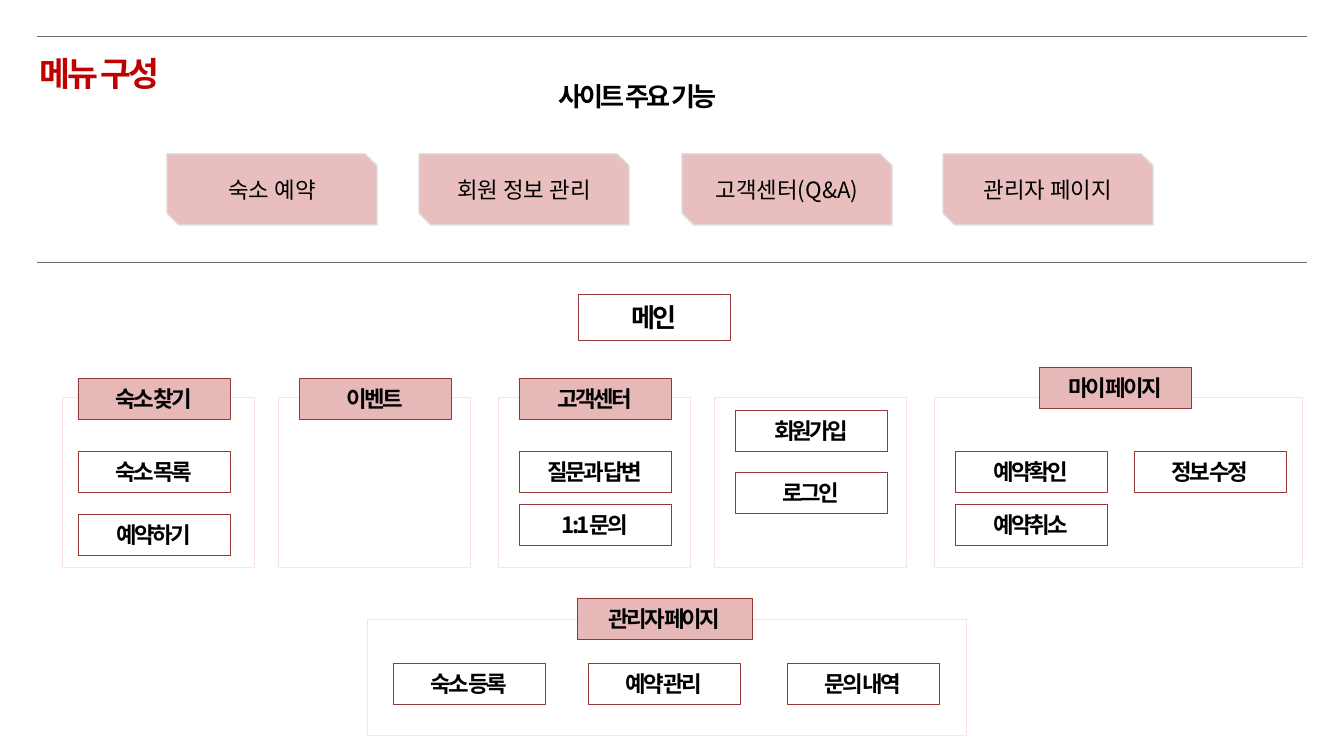
import pptx
import pptx.util
import pptx.dml.color
import pptx.enum.shapes
import pptx.enum.text
import pptx.oxml
import pptx.oxml.ns

PX = 914400 / 134.4
FONT = "Noto Sans CJK KR"
PINK, MAROON, PALE = "E6B9B8", "953735", "FFE1E1"
BUTTON_WIDTH, BUTTON_HEIGHT = 152, 41
SHAPES = pptx.enum.shapes.MSO_SHAPE
ALIGN = pptx.enum.text.PP_ALIGN


def emu(*lengths):
    return [pptx.util.Emu(round(length * PX)) for length in lengths]


def color(value):
    return pptx.dml.color.RGBColor.from_string(value)


def add_child(parent, tag, **attributes):
    child = pptx.oxml.parse_xml(f"<{tag} {pptx.oxml.ns.nsdecls('a')}/>")
    for name, value in attributes.items():
        child.set(name, value)
    parent.append(child)


def write(shape, text, size, ink="000000", bold=True, align=ALIGN.CENTER):
    para = shape.text_frame.paragraphs[0]
    para.text = text
    para.alignment = align
    para.font.name = FONT
    para.font.size = pptx.util.Pt(size)
    para.font.bold = bold
    para.font.color.rgb = color(ink)
    defaults = para._p.pPr.find(pptx.oxml.ns.qn("a:defRPr"))
    add_child(defaults, "a:ea", typeface=FONT)
    if bold:
        defaults.set("spc", "-150")
    return para


def add_box(page, box, fill, line, width=0.25, kind=SHAPES.RECTANGLE):
    shape = page.shapes.add_shape(kind, *emu(*box))
    shape.shadow.inherit = False
    if fill:
        shape.fill.solid()
        shape.fill.fore_color.rgb = color(fill)
    else:
        shape.fill.background()
    shape.line.color.rgb = color(line)
    shape.line.width = pptx.util.Pt(width)
    shape.text_frame.word_wrap = True
    shape.text_frame.vertical_anchor = pptx.enum.text.MSO_ANCHOR.MIDDLE
    return shape


def add_button(page, box, text, fill=None, size=12):
    write(add_box(page, box, fill, MAROON), text, size)


def add_rule(page, left, top, width):
    start_x, start_y, end_x = emu(left, top, left + width)
    rule = page.shapes.add_connector(
        pptx.enum.shapes.MSO_CONNECTOR.STRAIGHT, start_x, start_y, end_x, start_y)
    rule.line.color.rgb = color("68727E")
    rule.line.width = pptx.util.Pt(0.25)
    add_child(rule._element.spPr, "a:effectLst")


def add_header(page, box):
    left, top, width, height = box
    add_rule(page, left, top, width)
    add_rule(page, left, top + height, width)

    title = page.shapes.add_textbox(*emu(left - 11, top + 15, 328, 50))
    title.text_frame.word_wrap = True
    write(title, "메뉴 구성", 18, "C00000", align=ALIGN.LEFT).line_spacing = 0.9

    subtitle = page.shapes.add_textbox(*emu(left + 508, top + 38, 204, 46))
    subtitle.text_frame.word_wrap = False
    subtitle.text_frame.auto_size = pptx.enum.text.MSO_AUTO_SIZE.SHAPE_TO_FIT_TEXT
    write(subtitle, "사이트 주요 기능", 14, align=ALIGN.LEFT)

    features = {"숙소 예약": 130, "회원 정보 관리": 382,
                "고객센터(Q&A)": 645, "관리자 페이지": 906}
    for text, offset in features.items():
        card = add_box(page, (left + offset, top + 118, 210, 71), PINK, "DDDDDD",
                       0.75, SHAPES.SNIP_2_DIAG_RECTANGLE)
        fill = card._element.spPr.find(pptx.oxml.ns.qn("a:solidFill"))
        add_child(fill[0], "a:alpha", val="90000")
        write(card, text, 12, bold=False)


def add_menu_group(page, box, heading, items):
    left, top = box[:2]
    add_box(page, box, "FFFFFF", PALE)
    if heading:
        text, x, y, width = heading
        add_button(page, (left + x, top + y, width, BUTTON_HEIGHT), text, PINK)
    for text, x, y in items:
        add_button(page, (left + x, top + y, BUTTON_WIDTH, BUTTON_HEIGHT), text)


def main():
    deck = pptx.Presentation()
    deck.slide_width, deck.slide_height = emu(1344, 756)
    page = deck.slides.add_slide(deck.slide_layouts[6])

    add_header(page, (37, 36, 1270, 226))
    add_button(page, (578, 294, BUTTON_WIDTH, 46), "메인", size=14)

    groups = [
        ((62, 397, 192, 170), ("숙소 찾기", 16, -19, BUTTON_WIDTH),
         [("숙소 목록", 16, 54), ("예약하기", 16, 117)]),
        ((278, 397, 192, 170), ("이벤트", 21, -19, BUTTON_WIDTH), []),
        ((498, 397, 192, 170), ("고객센터", 21, -19, BUTTON_WIDTH),
         [("질문과 답변", 21, 54), ("1:1문의", 21, 107)]),
        ((714, 397, 192, 170), None, [("회원가입", 21, 13), ("로그인", 21, 75)]),
        ((934, 397, 368, 170), ("마이 페이지", 105, -30, BUTTON_WIDTH),
         [("예약확인", 21, 54), ("예약취소", 21, 107), ("정보 수정", 200, 54)]),
        ((367, 619, 599, 116), ("관리자 페이지", 210, -21, 175),
         [("숙소 등록", 26, 44), ("예약 관리", 221, 44), ("문의 내역", 420, 44)]),
    ]
    for box, heading, items in groups:
        add_menu_group(page, box, heading, items)

    deck.save("out.pptx")


if __name__ == "__main__":
    main()
